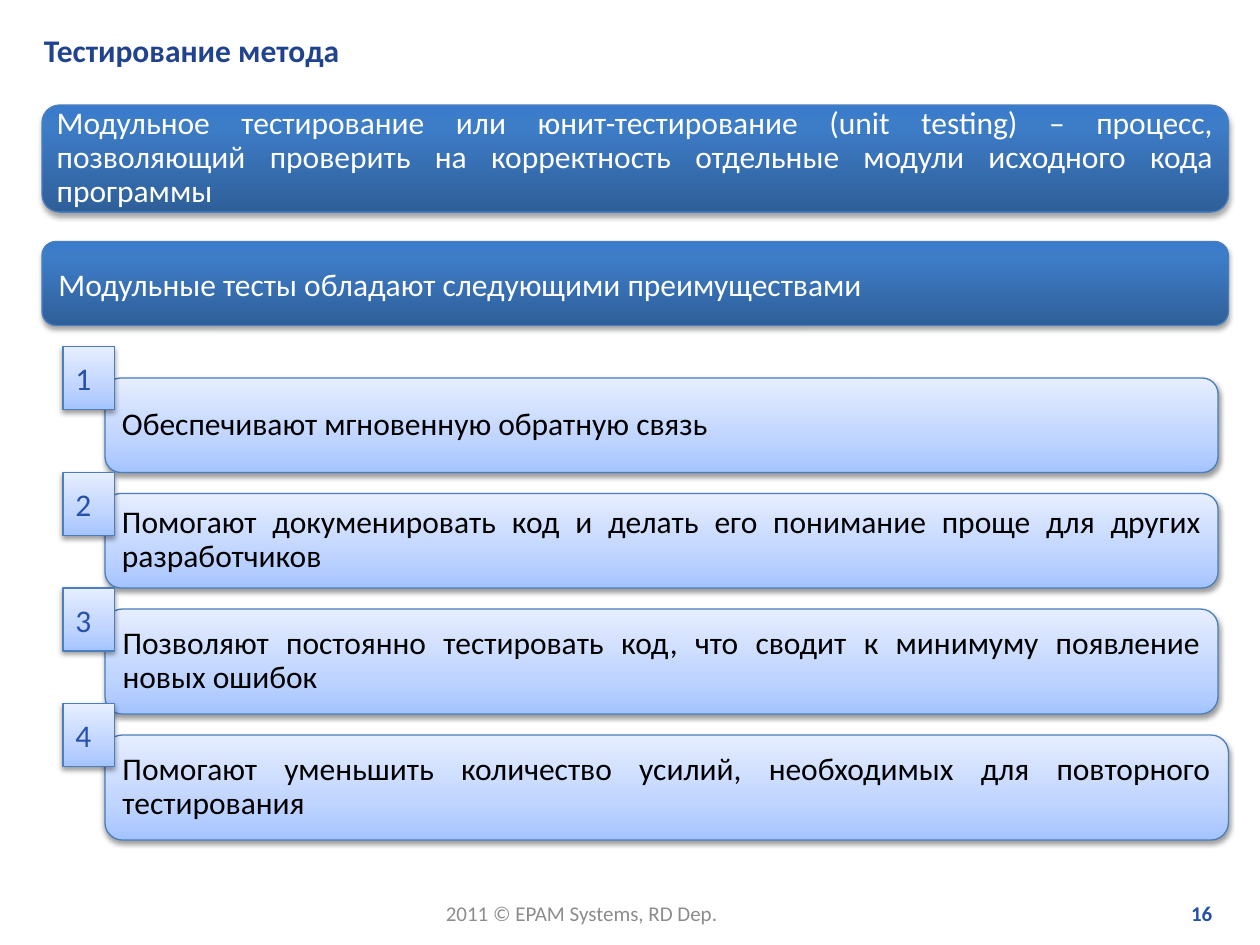
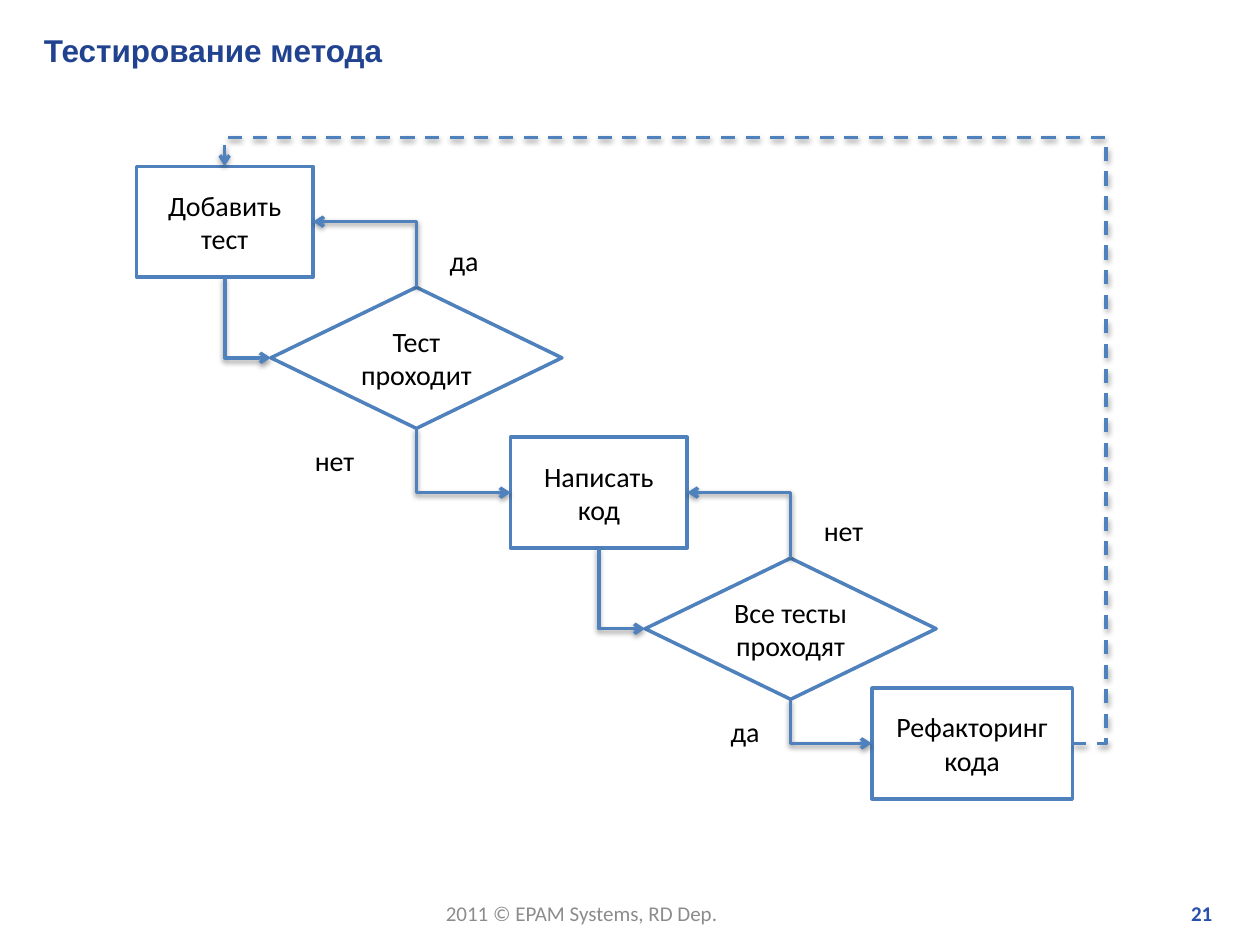
from lxml import etree
from pptx import Presentation
from pptx.dml.color import RGBColor as RGB
from pptx.enum.dml import MSO_LINE_DASH_STYLE as DASH
from pptx.enum.shapes import MSO_CONNECTOR as CONN, MSO_SHAPE as SHAPE
from pptx.enum.text import MSO_ANCHOR as ANCHOR, PP_ALIGN as ALIGN
from pptx.oxml.ns import qn
from pptx.util import Inches, Pt

COLORS = {
    "title": "21438F", "accent": "2750AB", "muted": "8C8C8C", "edge": "4B7EBC",
    "flow": "4F81BD", "white": "FFFFFF", "black": "000000",
}
GRADIENTS = {
    "dark": [(0, "2F5F99"), (80, "3D7CC7"), (100, "3A7CCB")],
    "light": [(0, "A4C4FF"), (35, "BFD4FF"), (100, "E6EEFF")],
}
SHADOWS = {"dark": (35, 1.8), "light": (38, 1.6)}
COLS, ROWS = 120, 90
TOP, LEFT, BOTTOM, RIGHT = range(4)


def add_xml(parent, tag, **attrs):
    """Append a child element with the given attributes."""
    return etree.SubElement(parent, qn(tag), {k: str(v) for k, v in attrs.items()})


class Deck:
    """Style, grid and current slide of the presentation."""

    def __init__(self):
        """Start an empty 10 by 7.5 inch presentation."""
        self.prs = Presentation()
        self.prs.slide_width, self.prs.slide_height = Inches(10), Inches(7.5)
        self.slide = None

    def box(self, x, y, w, h):
        """Turn grid columns and rows into lengths."""
        col, row = self.prs.slide_width / COLS, self.prs.slide_height / ROWS
        return round(x * col), round(y * row), round(w * col), round(h * row)

    def new_slide(self, title, number, font="Calibri"):
        """Add a slide with its title and footer."""
        self.slide = self.prs.slides.add_slide(self.prs.slide_layouts[6])
        self.text((41.28, 85.2, 28.68, 3.6), "2011 © EPAM Systems, RD Dep.",
                  12, "muted", wrap=False)
        self.text((91.2, 85.2, 25.44, 3.6), str(number), 12, "accent",
                  align=ALIGN.RIGHT, bold=True)
        self.text((3, 2.4, 114.48, 4.8), title, 18, "title", bold=True, font=font)

    def fill_text(self, sp, text, size, color, align=ALIGN.LEFT, bold=False,
                  font="Calibri", spacing=1.0, wrap=True, anchor=ANCHOR.TOP):
        """Fill a shape with formatted text."""
        tf = sp.text_frame
        tf.text = text
        tf.word_wrap, tf.vertical_anchor = wrap, anchor
        for p in tf.paragraphs:
            p.alignment, p.line_spacing = align, spacing
            for r in p.runs:
                r.font.size, r.font.name, r.font.bold = Pt(size), font, bold
                r.font.color.rgb = RGB.from_string(COLORS[color])

    def text(self, at, text, size, color, inset=None, **style):
        """Add a text box."""
        sp = self.slide.shapes.add_textbox(*self.box(*at))
        self.fill_text(sp, text, size, color, **style)
        if inset is not None:
            tf = sp.text_frame
            tf.margin_left = tf.margin_right = Inches(inset)
            tf.margin_top = tf.margin_bottom = Inches(inset)

    def shadow(self, sp, kind="light"):
        """Give a shape or connector a soft shadow below it."""
        alpha, dist = SHADOWS[kind]
        props = sp._element.spPr
        effects = props.find(qn("a:effectLst"))
        if effects is None:
            effects = add_xml(props, "a:effectLst")
        outer = add_xml(effects, "a:outerShdw", blurRad=Pt(3.1), dist=Pt(dist),
                        dir=5400000, rotWithShape=0)
        color = add_xml(outer, "a:srgbClr", val=COLORS["black"])
        add_xml(color, "a:alpha", val=alpha * 1000)

    def shape(self, preset, at, line, width):
        """Add a preset shape with a plain outline."""
        sp = self.slide.shapes.add_shape(preset, *self.box(*at))
        sp.line.color.rgb = RGB.from_string(COLORS[line])
        sp.line.width = Pt(width)
        sp.shadow.inherit = False
        return sp

    def panel(self, at, text="", kind="light", color="black", spacing=0.9,
              wrap=True, square=False):
        """Add a rounded panel with a gradient and a shadow."""
        sp = self.shape(SHAPE.ROUNDED_RECTANGLE, at, "edge", 0.75)
        if square:
            sp.adjustments[0] = 0
        sp.fill.gradient()
        sp.fill.gradient_angle = 90
        stops = sp._element.spPr.find(".//" + qn("a:gsLst"))
        for stop in list(stops):
            stops.remove(stop)
        for pos, stop_color in GRADIENTS[kind]:
            add_xml(add_xml(stops, "a:gs", pos=pos * 1000), "a:srgbClr", val=stop_color)
        self.shadow(sp, kind)
        if text:
            self.fill_text(sp, text, 18, color, align=ALIGN.JUSTIFY, spacing=spacing,
                           wrap=wrap, anchor=ANCHOR.MIDDLE)

    def node(self, preset, at, text):
        """Add a flowchart node."""
        sp = self.shape(preset, at, "flow", 2)
        sp.fill.solid()
        sp.fill.fore_color.rgb = RGB.from_string(COLORS["white"])
        self.fill_text(sp, text, 16, "black", align=ALIGN.CENTER, anchor=ANCHOR.MIDDLE)
        return sp

    def arrow(self, start, start_side, end, end_side, dash=None):
        """Add an elbow arrow joined to two nodes."""
        c = self.slide.shapes.add_connector(CONN.ELBOW, 0, 0, 0, 0)
        c.begin_connect(start, start_side)
        c.end_connect(end, end_side)
        c.line.color.rgb = RGB.from_string(COLORS["flow"])
        c.line.width = Pt(2)
        if dash:
            c.line.dash_style = dash
        ln = c._element.spPr.find(qn("a:ln"))
        add_xml(ln, "a:tailEnd", type="arrow")
        self.shadow(c)
        return c

    def corner(self, start, start_side, end, end_side):
        """Add an arrow that runs vertically, then turns once."""
        c = self.arrow(start, start_side, end, end_side)
        mid_x, mid_y = (c.begin_x + c.end_x) // 2, (c.begin_y + c.end_y) // 2
        dx, dy = (c.end_x - c.begin_x) // 2, (c.end_y - c.begin_y) // 2
        c.begin_x, c.begin_y = mid_x + dy, mid_y - dx
        c.end_x, c.end_y = mid_x - dy, mid_y + dx
        props = c._element.spPr
        props.find(qn("a:xfrm")).set("rot", str(270 * 60000))
        props.find(qn("a:prstGeom")).set("prst", "bentConnector2")

    def loop(self, start, end, out, over):
        """Add a dashed arrow back from a right side over to a top side."""
        c = self.arrow(start, RIGHT, end, TOP, DASH.DASH)
        geom = c._element.spPr.find(qn("a:prstGeom"))
        geom.set("prst", "bentConnector4")
        guides = geom.find(qn("a:avLst"))
        if guides is None:
            guides = add_xml(geom, "a:avLst")
        for name, share in (("adj1", -out), ("adj2", 1 + over)):
            add_xml(guides, "a:gd", name=name, fmla=f"val {round(share * 100000)}")


def benefits_slide(deck):
    """Build the slide on the benefits of unit tests."""
    deck.new_slide("Тестирование метода", 16)
    deck.panel((4, 10, 113, 10.2), kind="dark")
    deck.text((4.56, 10.44, 111.84, 9.24),
              "Модульное тестирование или юнит-тестирование (unit testing) – процесс, "
              "позволяющий проверить на корректность отдельные модули исходного кода "
              "программы", 18, "white", inset=0.07, align=ALIGN.JUSTIFY,
              spacing=0.9, anchor=ANCHOR.MIDDLE)
    deck.panel((4, 23, 113, 8), "Модульные тесты обладают следующими преимуществами",
               "dark", "white", spacing=1.0)
    benefits = [
        (36, 106, 9, 33, "Обеспечивают мгновенную обратную связь"),
        (47, 106, 9, 45, "Помогают докуменировать код и делать его понимание проще "
                         "для других разработчиков"),
        (58, 106, 10, 56, "Позволяют постоянно тестировать код, что сводит к минимуму "
                          "появление новых ошибок"),
        (70, 107, 10, 67, "Помогают уменьшить количество усилий, необходимых для "
                          "повторного тестирования"),
    ]
    for y, w, h, _, text in benefits:
        deck.panel((10, y, w, h), text)
    for number, (_, _, _, y, _) in enumerate(benefits, 1):
        deck.panel((6, y, 4.9, 6), str(number), color="accent", spacing=1.0,
                   wrap=False, square=True)


def cycle_slide(deck):
    """Build the flowchart of the test-first cycle."""
    deck.new_slide("Тестирование метода", 21, font="Arial")
    step_x, step_y = 35.64, 25.8
    stages = [
        ("Добавить\nтест", "Тест\nпроходит", ("да", 5.88)),
        ("Написать\nкод", "Все тесты\nпроходят", ("нет", 8.88)),
    ]
    actions, checks = [], []
    for i, (action, check, (answer, w)) in enumerate(stages):
        dx, dy = i * step_x, i * step_y
        actions.append(deck.node(SHAPE.FLOWCHART_PROCESS,
                                 (13 + dx, 15.84 + dy, 16.8, 10.56), action))
        checks.append(deck.node(SHAPE.FLOWCHART_DECISION,
                                (25.8 + dx, 27.36 + dy, 27.72, 13.44), check))
        deck.text((41.64 + dx, 22.56 + dy, w, 4.2), answer, 16, "black")
    actions.append(deck.node(SHAPE.FLOWCHART_PROCESS, (83.04, 65.52, 19.08, 10.56),
                             "Рефакторинг\nкода"))
    deck.text((28.8, 41.64, 8.88, 4.2), "нет", 16, "black")
    deck.text((68.4, 67.44, 5.88, 4.2), "да", 16, "black")
    for action, check, following in zip(actions, checks, actions[1:]):
        deck.corner(action, BOTTOM, check, LEFT)
        deck.corner(check, TOP, action, RIGHT)
        deck.corner(check, BOTTOM, following, LEFT)
    deck.loop(actions[-1], actions[0], 0.04, 0.05)


def main():
    """Build and save the slides."""
    deck = Deck()
    benefits_slide(deck)
    cycle_slide(deck)
    deck.prs.save("out.pptx")


if __name__ == "__main__":
    main()
